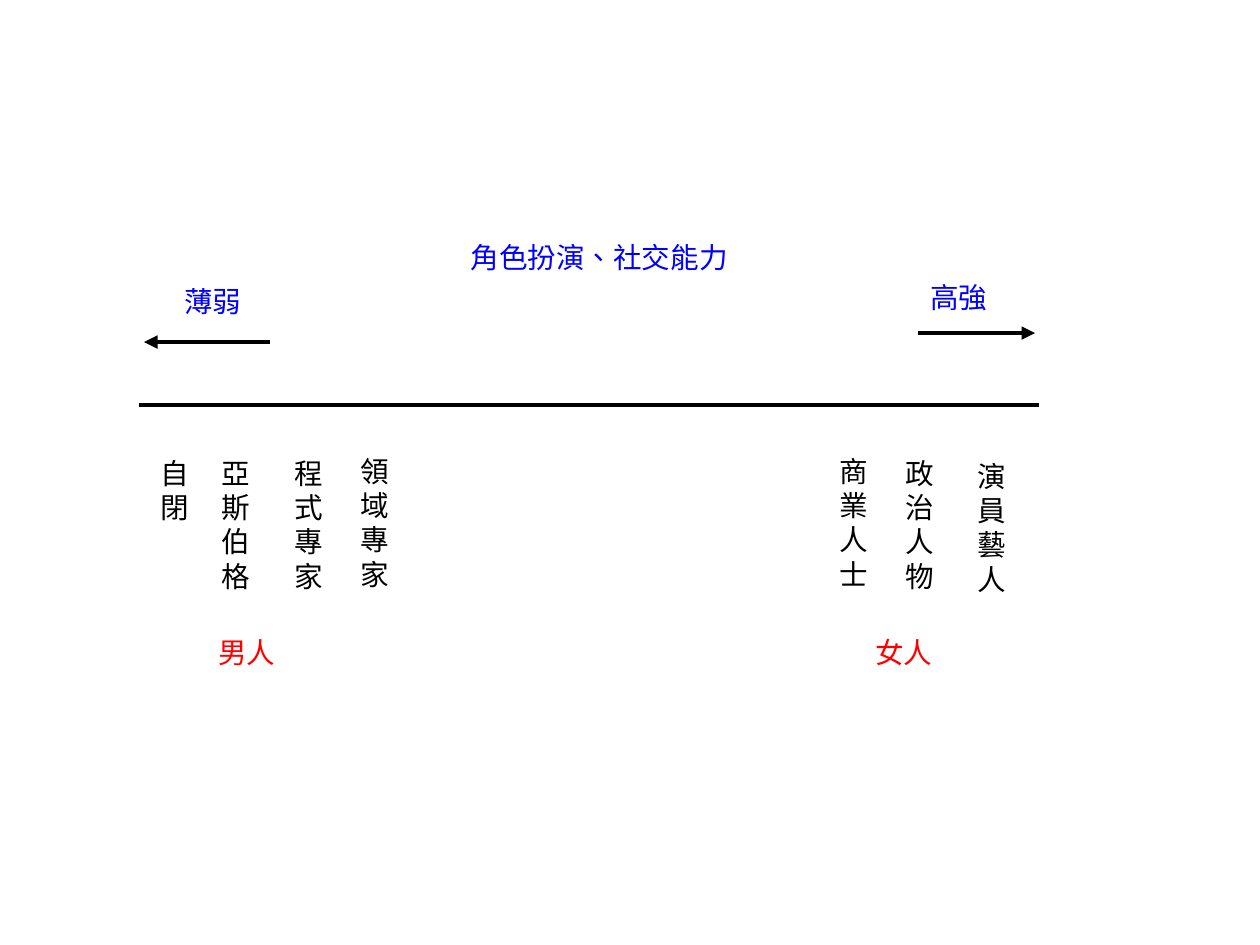
from dataclasses import dataclass

from lxml.etree import SubElement
from pptx import Presentation
from pptx.dml.color import RGBColor
from pptx.enum.lang import MSO_LANGUAGE_ID
from pptx.enum.shapes import MSO_CONNECTOR
from pptx.enum.text import MSO_ANCHOR, MSO_AUTO_SIZE, PP_ALIGN
from pptx.oxml.ns import qn
from pptx.util import Pt

PX = 8000
BLACK = RGBColor(0, 0, 0)
BLUE = RGBColor(0, 0, 255)
RED = RGBColor(255, 0, 0)
LATIN = "Arial"
HAN = "Noto Sans CJK SC"


@dataclass
class Label:
    text: str
    left: int
    top: int
    width: int
    color: RGBColor
    wrap: bool = False


@dataclass
class Column:
    text: str
    left: int
    top: int


@dataclass
class Line:
    start: int
    end: int
    y: int
    arrow: bool = True


TITLE = Label("角色扮演、社交能力", 459, 234, 370, BLUE, True)
LABELS = [
    Label("薄弱", 173, 278, 80, BLUE),
    Label("高強", 919, 274, 80, BLUE),
    Label("男人", 207, 629, 81, RED, True),
    Label("女人", 864, 629, 81, RED, True),
]
COLUMNS = [
    Column("自閉", 149, 450),
    Column("亞斯伯格", 210, 450),
    Column("程式專家", 283, 450),
    Column("領域專家", 349, 448),
    Column("商業人士", 828, 448),
    Column("政治人物", 894, 450),
    Column("演員藝人", 966, 453),
]
LINES = [
    Line(139, 1039, 405, False),
    Line(270, 144, 342),
    Line(918, 1035, 333),
]


def place(shape, left: int, top: int, width: int, height: int) -> None:
    box = {"left": left, "top": top, "width": width, "height": height}
    for name, value in box.items():
        setattr(shape, name, value * PX)


def write(shape, rows: list[str], font: str, color: RGBColor, wrap: bool) -> None:
    frame = shape.text_frame
    frame.text = "\n".join(rows)
    style = {
        "word_wrap": wrap,
        "vertical_anchor": MSO_ANCHOR.TOP,
        "auto_size": MSO_AUTO_SIZE.SHAPE_TO_FIT_TEXT,
    }
    for name, value in style.items():
        setattr(frame, name, value)
    look = {
        "size": Pt(18),
        "name": font,
        "language_id": MSO_LANGUAGE_ID.TRADITIONAL_CHINESE,
    }
    for para in frame.paragraphs:
        para.alignment = PP_ALIGN.LEFT
        for run in para.runs:
            for name, value in look.items():
                setattr(run.font, name, value)
            run.font.color.rgb = color


def label(shape, item: Label) -> None:
    place(shape, item.left, item.top, item.width, 53)
    write(shape, [item.text], HAN, item.color, item.wrap)


def column(shape, item: Column) -> None:
    place(shape, item.left, item.top, 51, 12 + 41 * len(item.text))
    write(shape, list(item.text), LATIN, BLACK, False)


def draw(shapes, item: Line) -> None:
    ends = [item.start, item.y, item.end, item.y]
    line = shapes.add_connector(MSO_CONNECTOR.STRAIGHT, *[n * PX for n in ends])
    line.line.color.rgb = BLACK
    line.line.width = Pt(2.83)
    props = line._element.spPr
    if item.arrow:
        SubElement(props.get_or_add_ln(), qn("a:tailEnd"), type="triangle")
    SubElement(props, qn("a:effectLst"))


def main() -> None:
    deck = Presentation()
    deck.slide_width, deck.slide_height = 1260 * PX, 945 * PX
    slide = deck.slides.add_slide(deck.slide_layouts[5])
    shapes = slide.shapes
    label(shapes.title, TITLE)
    for item in LABELS:
        label(shapes.add_textbox(0, 0, 0, 0), item)
    for item in COLUMNS:
        column(shapes.add_textbox(0, 0, 0, 0), item)
    for item in LINES:
        draw(shapes, item)
    deck.save("out.pptx")


if __name__ == "__main__":
    main()
